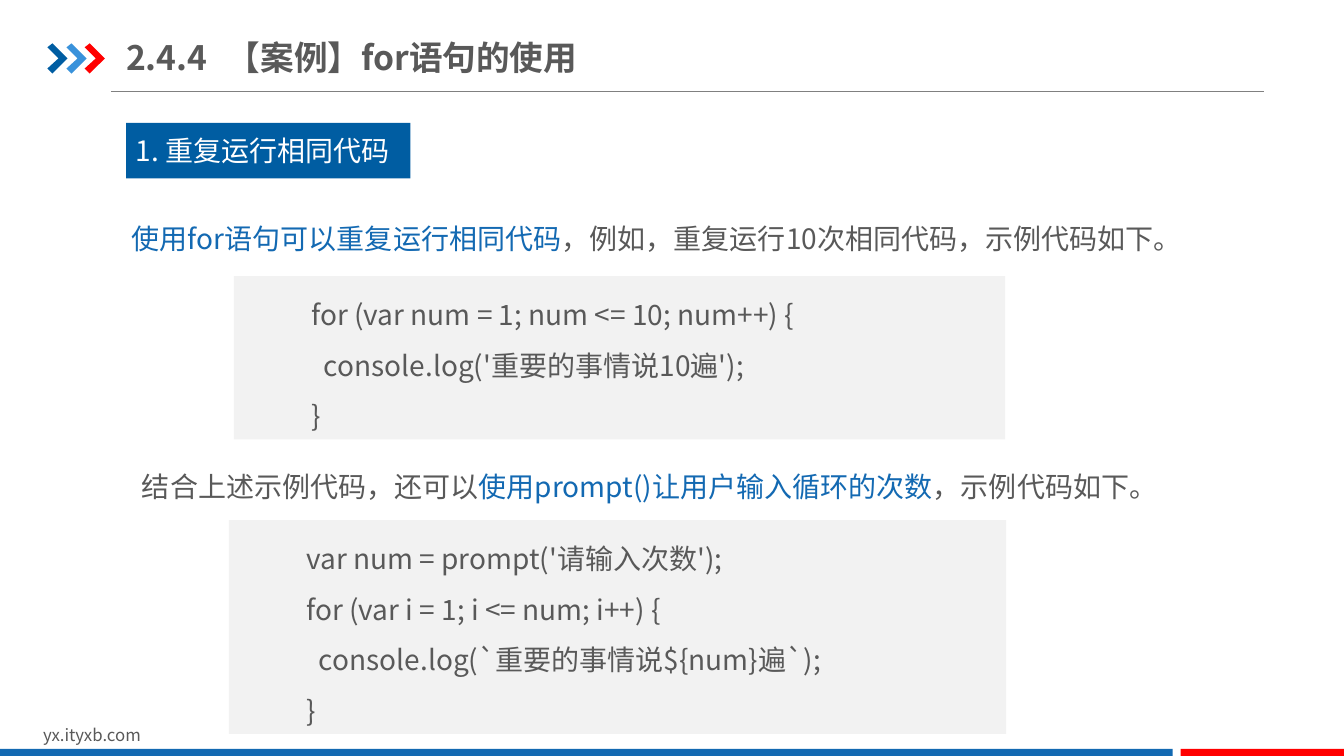
from typing import NamedTuple

from lxml import etree
from pptx import Presentation
from pptx.dml.color import RGBColor
from pptx.enum.shapes import MSO_CONNECTOR, MSO_SHAPE
from pptx.enum.text import MSO_ANCHOR, PP_ALIGN
from pptx.oxml.ns import qn
from pptx.util import Inches, Pt

RECTANGLE = MSO_SHAPE.RECTANGLE
STRAIGHT = MSO_CONNECTOR.STRAIGHT
TOP, MIDDLE = MSO_ANCHOR.TOP, MSO_ANCHOR.MIDDLE
LEFT = PP_ALIGN.LEFT

FONT = "Noto Sans CJK SC"
NAVY, BLUE, SKY, RED = "005DA2", "1369B2", "3992DB", "FF0000"
GRAY, PALE, WHITE = "595959", "F2F2F2", "FFFFFF"
CODE_INDENT = 0.67


class Box(NamedTuple):
    left: float
    top: float
    width: float
    height: float


class Span(NamedTuple):
    text: str
    color: str = GRAY


class Passage(NamedTuple):
    box: Box
    spans: list[Span]


class CodeBlock(NamedTuple):
    box: Box
    lines: list[str]


class Panel(NamedTuple):
    box: Box
    color: str


class Chevron(NamedTuple):
    left: float
    color: str


PASSAGES = [
    Passage(Box(1.21, 1.98, 10.5, 0.61), [
        Span("使用for语句可以重复运行相同代码", BLUE),
        Span("，例如，重复运行10次相同代码，示例代码如下。"),
    ]),
    Passage(Box(1.31, 4.44, 10.39, 0.61), [
        Span("结合上述示例代码，还可以"),
        Span("使用prompt()让用户输入循环的次数", BLUE),
        Span("，示例代码如下。"),
    ]),
]
CODE_BLOCKS = [
    CodeBlock(Box(2.32, 2.74, 7.65, 1.62), [
        "for (var num = 1; num <= 10; num++) {",
        "  console.log('重要的事情说10遍');",
        "}",
    ]),
    CodeBlock(Box(2.27, 5.16, 7.71, 2.12), [
        "var num = prompt('请输入次数');",
        "for (var i = 1; i <= num; i++) {",
        "  console.log(`重要的事情说${num}遍`);",
        "}",
    ]),
]
FOOTER_BARS = [
    Panel(Box(0, 7.43, 11.63, 0.09), BLUE),
    Panel(Box(11.71, 7.43, 1.63, 0.09), RED),
]
CHEVRONS = [Chevron(0.47, NAVY), Chevron(0.66, SKY), Chevron(0.84, RED)]
CHEVRON_OUTLINE = [(0, 0.47), (0.05, 0.43), (0.2, 0.58), (0.05, 0.73),
                   (0, 0.68), (0.11, 0.58)]


def rgb(color: str) -> RGBColor:
    return RGBColor.from_string(color)


def inches(box: Box) -> list:
    return [Inches(length) for length in box]


def style_run(run, size: float, color: str, bold: bool = False) -> None:
    run.font.name = FONT
    run.font.size = Pt(size)
    run.font.bold = bold
    run.font.color.rgb = rgb(color)
    east_asian = etree.SubElement(run.font._element, qn("a:ea"))
    east_asian.set("typeface", FONT)


def paint(shape, color: str) -> None:
    shape.fill.solid()
    shape.fill.fore_color.rgb = rgb(color)
    shape.line.fill.background()
    shape.shadow.inherit = False


def add_panel(slide, panel: Panel):
    shape = slide.shapes.add_shape(RECTANGLE, *inches(panel.box))
    paint(shape, panel.color)
    return shape


def add_chevron(slide, chevron: Chevron) -> None:
    points = [(Inches(chevron.left + x), Inches(y)) for x, y in CHEVRON_OUTLINE]
    builder = slide.shapes.build_freeform(*points[0])
    builder.add_line_segments(points[1:], close=True)
    paint(builder.convert_to_shape(), chevron.color)


def add_passage(slide, passage: Passage, size: float = 20, spacing: float = 1.5) -> None:
    frame = slide.shapes.add_textbox(*inches(passage.box)).text_frame
    frame.word_wrap = True
    paragraph = frame.paragraphs[0]
    paragraph.line_spacing = spacing
    for span in passage.spans:
        run = paragraph.add_run()
        run.text = span.text
        style_run(run, size, span.color)


def add_code(slide, block: CodeBlock) -> None:
    frame = add_panel(slide, Panel(block.box, PALE)).text_frame
    frame.word_wrap = True
    frame.vertical_anchor = TOP
    frame.text = "\n".join(block.lines)
    for paragraph in frame.paragraphs:
        paragraph.level = 1
        paragraph.alignment = LEFT
        paragraph.line_spacing = 1.5
        properties = paragraph._p.get_or_add_pPr()
        properties.set("marL", str(Inches(CODE_INDENT)))
        properties.set("indent", "0")
        style_run(paragraph.runs[0], 20, GRAY)


def add_title(slide) -> None:
    title = slide.shapes.title
    title.left, title.top, title.width, title.height = inches(Box(1.25, 0.29, 4.86, 0.55))
    frame = title.text_frame
    frame.word_wrap = True
    frame.vertical_anchor = MIDDLE
    frame.margin_left = frame.margin_right = 0
    frame.margin_top = frame.margin_bottom = Inches(0.07)
    frame.text = "2.4.4\t【案例】for语句的使用"
    paragraph = frame.paragraphs[0]
    paragraph.alignment = LEFT
    paragraph.line_spacing = 1.0
    style_run(paragraph.runs[0], 24, GRAY, bold=True)


def add_title_rule(slide) -> None:
    rule = slide.shapes.add_connector(
        STRAIGHT, Inches(1.1), Inches(0.91), Inches(12.54), Inches(0.91))
    rule.line.color.rgb = rgb("808080")
    rule.line.width = Pt(0.75)
    etree.SubElement(rule._element.spPr, qn("a:effectLst"))


def add_section_label(slide) -> None:
    frame = add_panel(slide, Panel(Box(1.25, 1.22, 2.82, 0.55), NAVY)).text_frame
    frame.vertical_anchor = MIDDLE
    frame.text = "1. 重复运行相同代码"
    frame.paragraphs[0].alignment = LEFT
    style_run(frame.paragraphs[0].runs[0], 20, WHITE)


def main() -> None:
    deck = Presentation()
    deck.slide_width, deck.slide_height = Inches(13.33), Inches(7.5)
    slide = deck.slides.add_slide(deck.slide_layouts[5])

    # Header
    add_title_rule(slide)
    for chevron in CHEVRONS:
        add_chevron(slide, chevron)
    add_title(slide)

    # Footer
    site = Passage(Box(0.33, 7.14, 3.18, 0.3), [Span("yx.ityxb.com")])
    add_passage(slide, site, size=12, spacing=1.0)
    for bar in FOOTER_BARS:
        add_panel(slide, bar)

    # Explanations and code
    add_section_label(slide)
    for passage in PASSAGES:
        add_passage(slide, passage)
    for block in CODE_BLOCKS:
        add_code(slide, block)

    deck.save("out.pptx")


if __name__ == "__main__":
    main()
